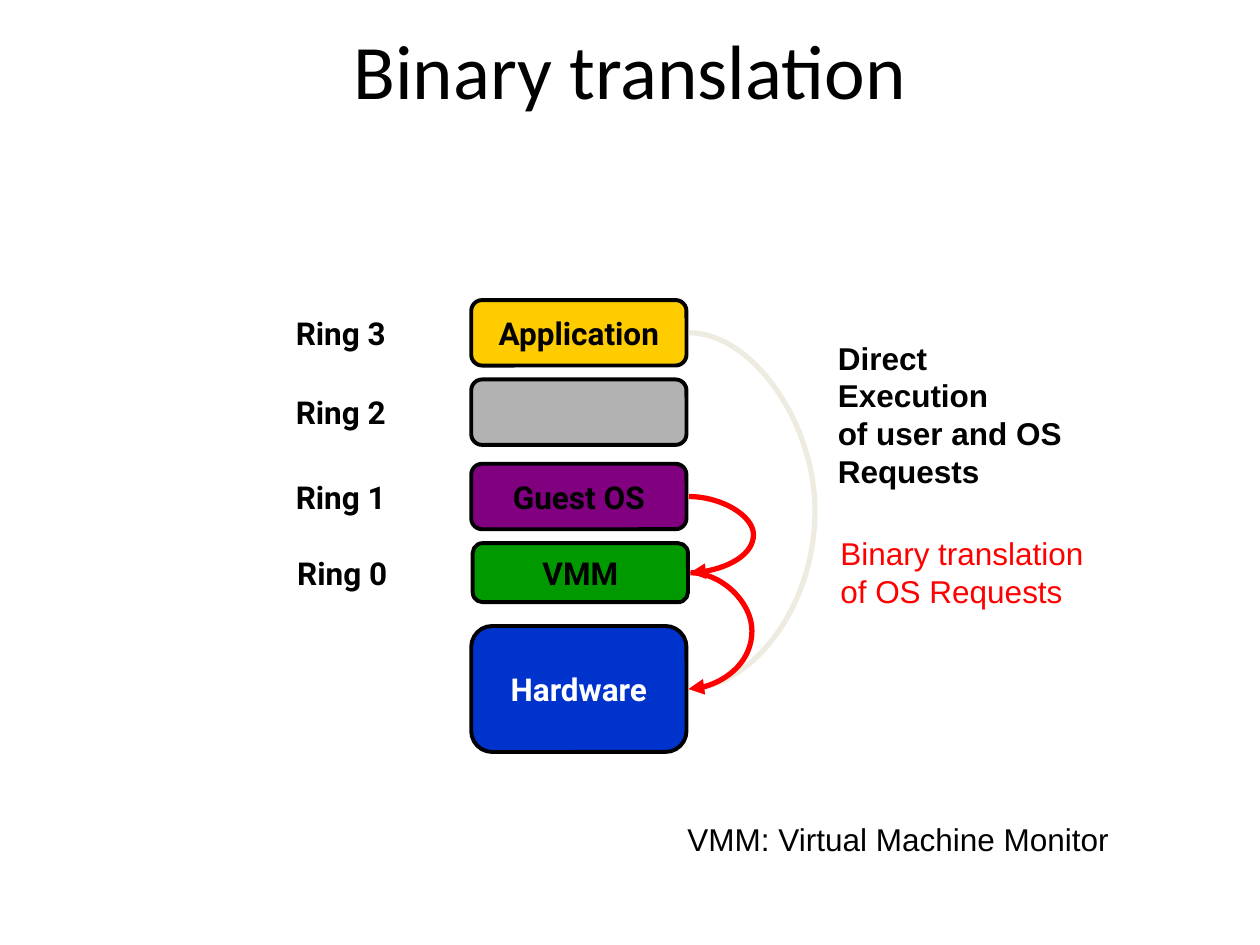
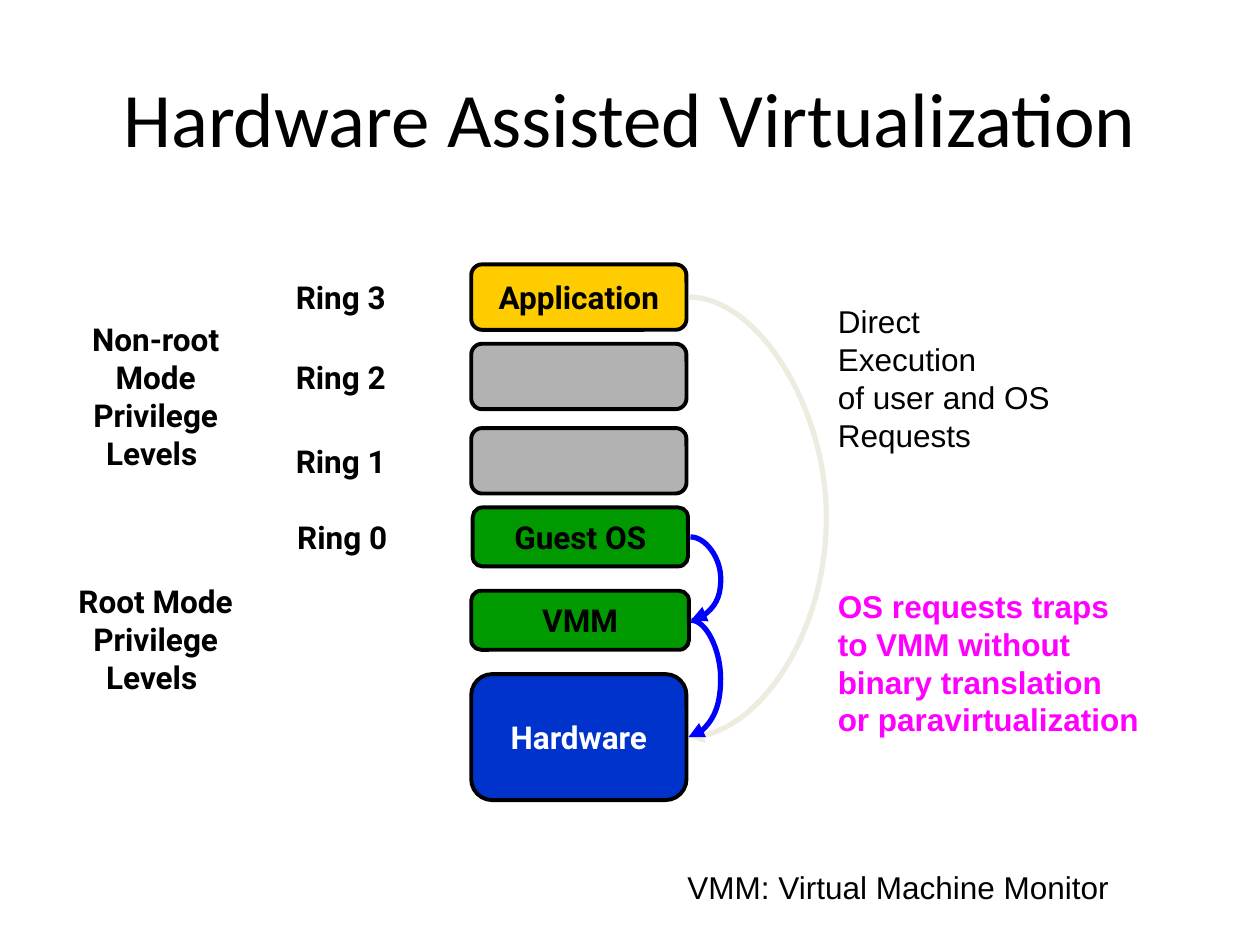
from dataclasses import dataclass
from typing import Optional

from lxml import etree
from pptx import Presentation
from pptx import util as u
from pptx.dml import color
from pptx.enum import shapes, text
from pptx.oxml import ns

BLACK, WHITE, GREY = "000000", "FFFFFF", "B2B2B2"
GOLD, GREEN, PURPLE, NAVY = "FFCC00", "009900", "800080", "0033CC"
RED, BLUE, PINK, CREAM = "FF0000", "0000FF", "FF00FF", "EEECE1"

STACK, RINGS, SIDE = 9.5, 4.7, 0.97
WIDE, TALL, SHORT, BASE = 4.34, 1.32, 1.19, 2.54
STEPS = (0, 1.6, 3.3, 4.9)
DIRECT = "Direct\nExecution\nof user and OS\nRequests"
LEGEND = "VMM: Virtual Machine Monitor"


@dataclass
class Box:
    words: str
    left: float
    top: float
    fill: Optional[str] = None
    high: float = TALL
    wide: float = WIDE
    ink: str = BLACK

    @property
    def right(self) -> float:
        return self.left + self.wide

    @property
    def mid(self) -> float:
        return self.top + self.high / 2


@dataclass
class Arc:
    start: Box
    end: Box
    bend: float
    ink: str


@dataclass
class Note:
    words: str
    left: float
    top: float
    wide: float
    high: float
    ink: str = BLACK
    bold: bool = False


@dataclass
class Page:
    title: str
    top: float
    boxes: list[Box]
    arcs: list[Arc]
    notes: list[Note]


def rgb(code: str) -> color.RGBColor:
    return color.RGBColor.from_string(code)


def write(frame, words: str, font: str, size: int, ink: str,
          bold: bool = False, center: bool = False) -> None:
    frame.text = words
    for para in frame.paragraphs:
        para.alignment = text.PP_ALIGN.CENTER if center else text.PP_ALIGN.LEFT
        for run in para.runs:
            run.font.name = font
            run.font.size = u.Pt(size)
            run.font.bold = bold
            run.font.color.rgb = rgb(ink)


def draw_box(slide, box: Box) -> None:
    shape = slide.shapes.add_shape(
        shapes.MSO_SHAPE.ROUNDED_RECTANGLE, u.Cm(box.left), u.Cm(box.top),
        u.Cm(box.wide), u.Cm(box.high))
    shape.shadow.inherit = False
    if box.fill:
        shape.fill.solid()
        shape.fill.fore_color.rgb = rgb(box.fill)
        shape.line.color.rgb = rgb(BLACK)
        shape.line.width = u.Pt(2.25)
    else:
        shape.fill.background()
        shape.line.fill.background()
    if box.words:
        frame = shape.text_frame
        frame.word_wrap = False
        frame.vertical_anchor = text.MSO_ANCHOR.MIDDLE
        write(frame, box.words, "Roboto", 18, box.ink, True, True)


def draw_arc(slide, arc: Arc) -> None:
    head, tip = arc.start.right + 0.05, arc.end.right + 0.04
    line = slide.shapes.add_connector(
        shapes.MSO_CONNECTOR.CURVE, u.Cm(head), u.Cm(arc.start.mid),
        u.Cm(tip), u.Cm(arc.end.mid))
    line.line.color.rgb = rgb(arc.ink)
    line.line.width = u.Pt(3)
    props = line._element.spPr
    etree.SubElement(props.find(ns.qn("a:ln")), ns.qn("a:tailEnd"), type="triangle")
    etree.SubElement(props, ns.qn("a:effectLst"))
    guides = props.find(ns.qn("a:prstGeom")).get_or_add_avLst()
    ratio = round((arc.bend - head) / (tip - head) * 100000)
    etree.SubElement(guides, ns.qn("a:gd"), name="adj1", fmla=f"val {ratio}")


def draw_note(slide, note: Note) -> None:
    frame = slide.shapes.add_textbox(
        u.Cm(note.left), u.Cm(note.top), u.Cm(note.wide), u.Cm(note.high)).text_frame
    frame.word_wrap = False
    frame.auto_size = text.MSO_AUTO_SIZE.SHAPE_TO_FIT_TEXT
    write(frame, note.words, "Arial", 18, note.ink, note.bold)


def draw_page(deck, page: Page) -> None:
    slide = deck.slides.add_slide(deck.slide_layouts[5])
    title = slide.shapes.title
    title.left, title.top = u.Cm(1.27), u.Cm(page.top)
    title.width, title.height = u.Cm(22.86), u.Cm(3.18)
    title.text_frame.vertical_anchor = text.MSO_ANCHOR.MIDDLE
    write(title.text_frame, page.title, "Calibri", 44, BLACK, center=True)
    for box in page.boxes:
        draw_box(slide, box)
    for arc in page.arcs:
        draw_arc(slide, arc)
    for note in page.notes:
        draw_note(slide, note)


def make_rings(top: float, cells: list[tuple[str, str]]) -> list[Box]:
    boxes = []
    for rank, (step, (words, fill)) in enumerate(zip(STEPS, cells)):
        last = rank == 3
        nudge, high = (0.03, SHORT) if last else (0, TALL)
        boxes.append(Box(words, STACK + nudge, top + step, fill, high))
        boxes.append(Box(f"Ring {3 - rank}", RINGS + nudge, top + step, high=high))
    return boxes


def make_base(top: float) -> Box:
    return Box("Hardware", STACK, top, NAVY, BASE, ink=WHITE)


def binary() -> Page:
    rings = make_rings(6.05, [("Application", GOLD), ("", GREY),
                              ("Guest OS", PURPLE), ("VMM", GREEN)])
    app, guest, vmm = rings[0], rings[4], rings[6]
    base = make_base(12.62)
    return Page(
        "Binary translation", -0.2, [base, *rings],
        [Arc(app, base, 16.43, CREAM), Arc(vmm, base, 15.16, RED),
         Arc(guest, vmm, 15.19, RED)],
        [Note(DIRECT, 16.64, 6.7, 5.08, 3.33, bold=True),
         Note("Binary translation\nof OS Requests", 16.69, 10.64, 5.41, 1.78, RED),
         Note(LEGEND, 13.61, 16.41, 9.02, 1.02)])


def assisted() -> Page:
    rings = make_rings(5.33, [("Application", GOLD), ("", GREY),
                              ("", GREY), ("Guest OS", GREEN)])
    app, guest = rings[0], rings[6]
    vmm = Box("VMM", STACK, 11.91, GREEN, SHORT, 4.39)
    base = make_base(13.59)
    modes = [Box("Non-root\nMode\nPrivilege\nLevels ", SIDE, 7.32),
             Box("Root Mode\nPrivilege\nLevels ", SIDE, 12.22)]
    traps = "OS requests traps\nto VMM without\nbinary translation\nor paravirtualization"
    return Page(
        "Hardware Assisted Virtualization", 0.76, [base, *rings, vmm, *modes],
        [Arc(app, base, 16.66, CREAM), Arc(vmm, base, 14.53, BLUE),
         Arc(guest, vmm, 14.53, BLUE)],
        [Note(DIRECT, 16.64, 5.97, 4.78, 3.3),
         Note(traps, 16.64, 11.71, 6.58, 3.3, PINK, True),
         Note(LEGEND, 13.61, 17.37, 9.02, 1.02)])


def main() -> None:
    deck = Presentation()
    deck.slide_width, deck.slide_height = u.Cm(25.4), u.Cm(19.05)
    for page in (binary(), assisted()):
        draw_page(deck, page)
    deck.save("out.pptx")


if __name__ == "__main__":
    main()
